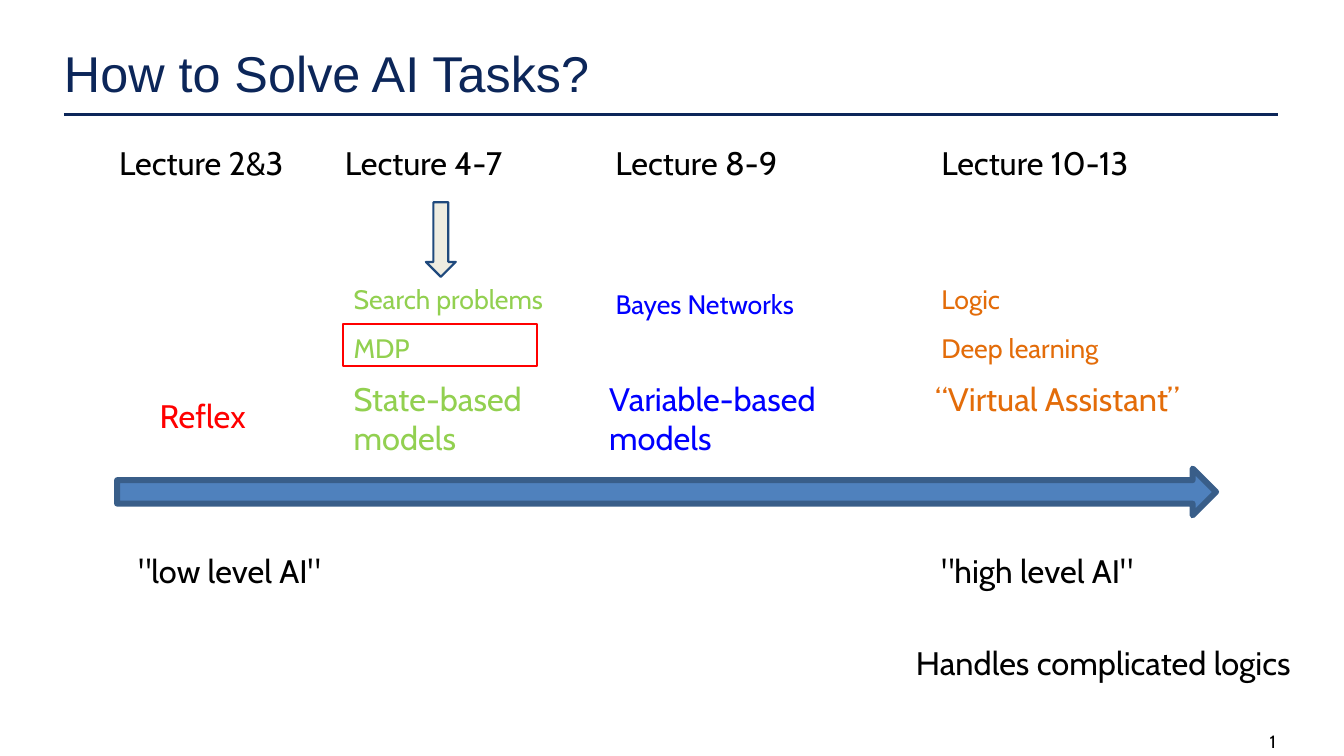
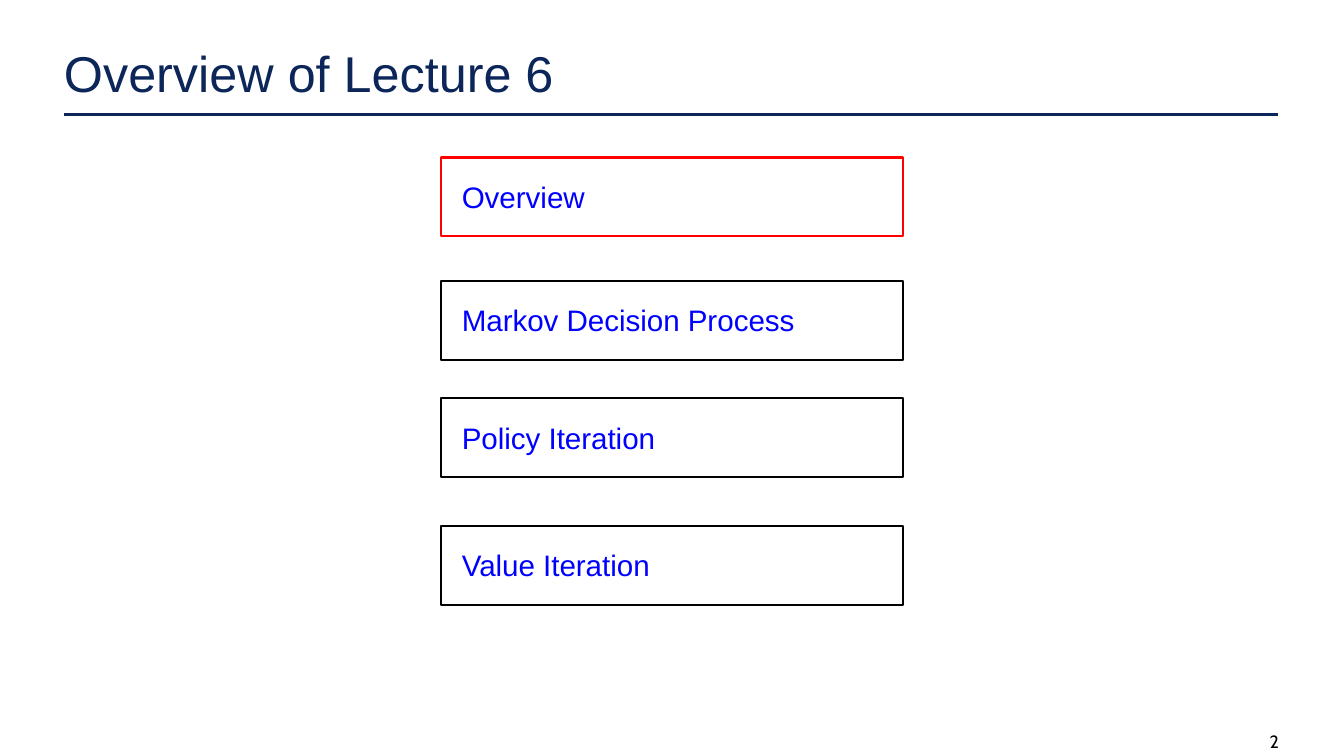
from lxml import etree
from pptx import Presentation
from pptx.dml.color import RGBColor
from pptx.enum.shapes import MSO_CONNECTOR, MSO_SHAPE
from pptx.enum.text import MSO_ANCHOR, MSO_AUTO_SIZE, PP_ALIGN
from pptx.oxml import parse_xml
from pptx.oxml.ns import nsdecls, qn
from pptx.util import Inches, Pt

LEFT, TOP, NO_AUTOFIT = PP_ALIGN.LEFT, MSO_ANCHOR.TOP, MSO_AUTO_SIZE.NONE
RECTANGLE = MSO_SHAPE.RECTANGLE
RIGHT_ARROW, DOWN_ARROW = MSO_SHAPE.RIGHT_ARROW, MSO_SHAPE.DOWN_ARROW
STRAIGHT = MSO_CONNECTOR.STRAIGHT
TITLE_ONLY = 5

NAVY, BLACK, RED, BLUE = "0C2659", "000000", "FF0000", "0000FF"
GREEN, ORANGE = "92D050", "E36C09"
TITLE_FONT, BODY_FONT = "Arial", "Cabin"
LARGE, SMALL = 11, 9

# Content: text, left, top, width, height, size, colour
LECTURE_TOP, LEVEL_TOP, MODEL_TOP = 0.66, 2.58, 1.77
LABELS = [
    ("Lecture 2&3", 0.55, LECTURE_TOP, 1.06, 0.2, LARGE, BLACK),
    ("Lecture 4-7", 1.61, LECTURE_TOP, 1.06, 0.2, LARGE, BLACK),
    ("Lecture 8-9", 2.88, LECTURE_TOP, 1.06, 0.2, LARGE, BLACK),
    ("Lecture 10-13", 4.41, LECTURE_TOP, 1.06, 0.2, LARGE, BLACK),
    ("Search problems", 1.65, 1.32, 1.29, 0.16, SMALL, GREEN),
    ("MDP", 1.65, 1.55, 1.29, 0.16, SMALL, GREEN),
    ("Bayes Networks", 2.88, 1.34, 1.29, 0.16, SMALL, BLUE),
    ("Logic", 4.41, 1.32, 1.29, 0.16, SMALL, ORANGE),
    ("Deep learning", 4.41, 1.55, 1.29, 0.16, SMALL, ORANGE),
    ("Reflex", 0.74, 1.85, 0.67, 0.2, LARGE, RED),
    ("State-based models", 1.65, MODEL_TOP, 1.29, 0.38, LARGE, GREEN),
    ("Variable-based models", 2.85, MODEL_TOP, 1.29, 0.38, LARGE, BLUE),
    ("“Virtual Assistant”", 4.38, MODEL_TOP, 1.29, 0.2, LARGE, ORANGE),
    ('"low level AI"', 0.64, LEVEL_TOP, 1.24, 0.2, LARGE, BLACK),
    ('"high level AI"', 4.41, LEVEL_TOP, 1.24, 0.2, LARGE, BLACK),
    ("Handles complicated logics", 4.29, 3.01, 2, 0.2, LARGE, BLACK),
]
# Topic, top, outline colour
TOPICS = [
    ("Overview", 0.74, RED),
    ("Markov Decision Process", 1.32, BLACK),
    ("Policy Iteration", 1.87, BLACK),
    ("Value Iteration", 2.47, BLACK),
]


def colour(value):
    return RGBColor.from_string(value)


def style_font(font, name, size, value):
    font.name = name
    font.size = Pt(size)
    font.color.rgb = colour(value)


def set_frame(shape, left=0.01, top=0.01, right=0, bottom=0):
    frame = shape.text_frame
    frame.word_wrap = True
    frame.auto_size = NO_AUTOFIT
    frame.vertical_anchor = TOP
    frame.margin_left, frame.margin_top = Inches(left), Inches(top)
    frame.margin_right, frame.margin_bottom = Inches(right), Inches(bottom)
    paragraph = frame.paragraphs[0]
    paragraph.alignment = LEFT
    return paragraph


def add_run(paragraph, text, font, size, value):
    run = paragraph.add_run()
    run.text = text
    style_font(run.font, font, size, value)


def add_label(slide, text, left, top, width, height, size, value):
    box = slide.shapes.add_textbox(*map(Inches, (left, top, width, height)))
    add_run(set_frame(box), text, BODY_FONT, size, value)


def add_outline(slide, kind, bounds, line, line_width=0.75, fill=None):
    shape = slide.shapes.add_shape(kind, *map(Inches, bounds))
    shape.shadow.inherit = False
    if fill:
        shape.fill.solid()
        shape.fill.fore_color.rgb = colour(fill)
    else:
        shape.fill.background()
    shape.line.color.rgb = colour(line)
    shape.line.width = Pt(line_width)
    return shape


def add_page_number(slide, number):
    box = slide.shapes.add_textbox(*map(Inches, (5.92, 3.42, 0.31, 0.1)))
    paragraph = set_frame(box, left=0.04, top=0)
    paragraph.line_spacing = 1.12
    add_run(paragraph, str(number), BODY_FONT, 6, BLACK)
    # Turn the run into a slide number field
    run = paragraph.runs[0]._r
    field = parse_xml(
        f'<a:fld {nsdecls("a")} type="slidenum" '
        'id="{B6F15528-21DE-4FAA-801E-634DDDAF4B2B}"/>')
    field.extend(list(run))
    paragraph._p.replace(run, field)


def add_slide(presentation, title_text, number):
    slide = presentation.slides.add_slide(presentation.slide_layouts[TITLE_ONLY])
    title = slide.shapes.title
    title.left, title.top = Inches(0.29), Inches(0.18)
    title.width, title.height = Inches(4.21), Inches(0.3)
    add_run(set_frame(title, top=0.02), title_text, TITLE_FONT, 17, NAVY)

    # Rule under the title
    rule = slide.shapes.add_connector(STRAIGHT, *map(Inches, (0.3, 0.54, 6, 0.54)))
    rule.line.color.rgb = colour(NAVY)
    rule.line.width = Pt(1)
    etree.SubElement(rule._element.spPr, qn("a:effectLst"))

    add_page_number(slide, number)
    return slide


def build_tasks(presentation):
    slide = add_slide(presentation, "How to Solve AI Tasks?", 2)
    add_outline(slide, RIGHT_ARROW, (0.55, 2.2, 5.16, 0.22), "395E89", 2, "4F81BD")
    add_outline(slide, DOWN_ARROW, (2, 0.95, 0.14, 0.35), "1F497D", fill="EEECE1")
    for label in LABELS:
        add_label(slide, *label)
    # Frame around MDP
    add_outline(slide, RECTANGLE, (1.61, 1.52, 0.91, 0.2), RED)


def build_overview(presentation):
    slide = add_slide(presentation, "Overview of Lecture 6", 3)
    for topic, top, line in TOPICS:
        box = add_outline(slide, RECTANGLE, (2.07, top, 2.17, 0.37), line)
        paragraph = set_frame(box, 0.1, 0.1, 0.1, 0.1)
        add_run(paragraph, topic, TITLE_FONT, 10, BLUE)


def main():
    presentation = Presentation()
    presentation.slide_width = Inches(6.31)
    presentation.slide_height = Inches(3.55)
    build_tasks(presentation)
    build_overview(presentation)
    presentation.save("out.pptx")


if __name__ == "__main__":
    main()
